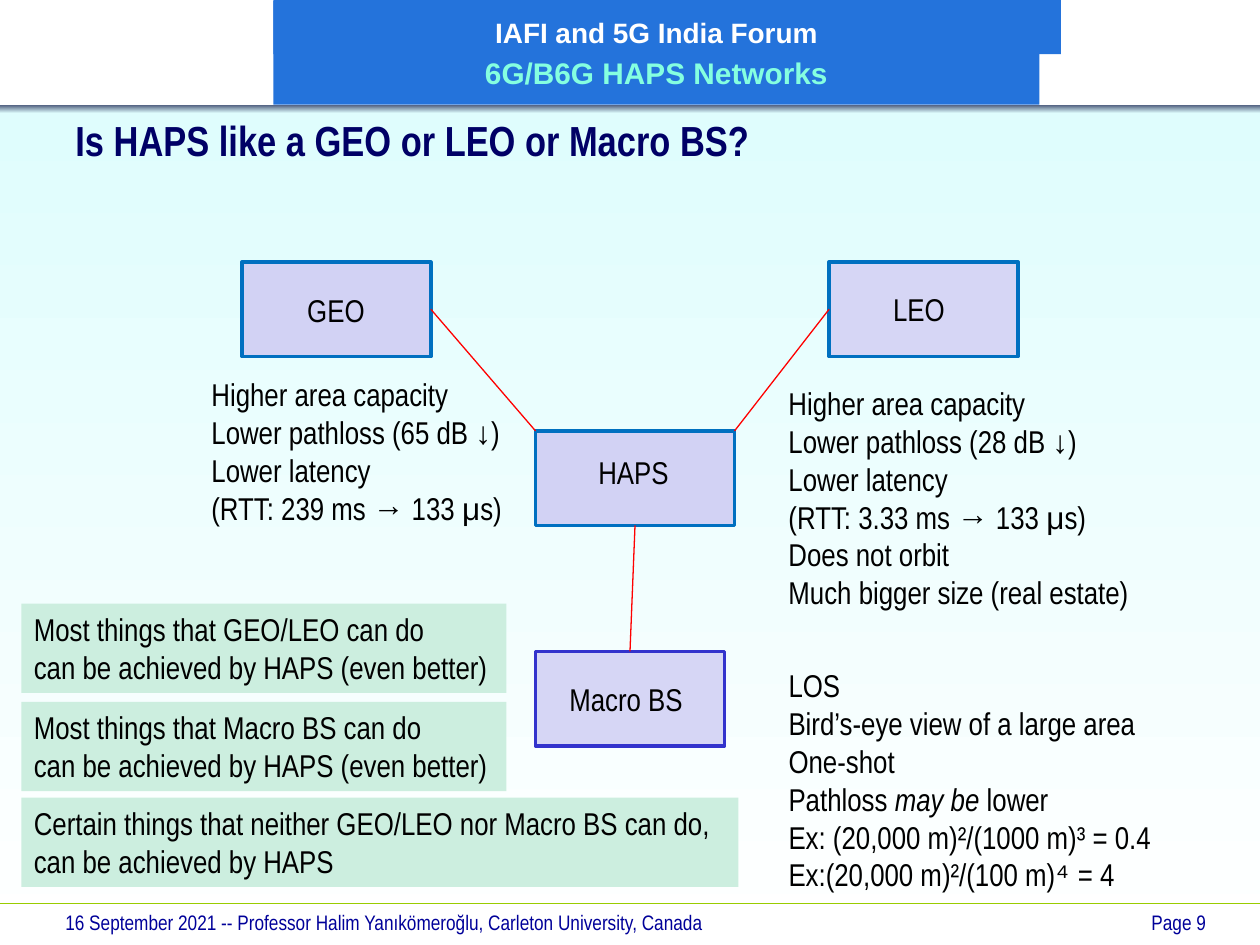
import pptx
import pptx.util
import pptx.dml.color
import pptx.enum.shapes
import pptx.enum.text
import pptx.oxml.ns
import lxml.etree

Inches = pptx.util.Inches
Pt = pptx.util.Pt
ALIGN = pptx.enum.text.PP_ALIGN
ANCHOR = pptx.enum.text.MSO_ANCHOR

COLORS = {
    "sky": "DFFDFD", "white": "FFFFFF", "slate": "475577",
    "banner": "2473DB", "aqua": "85FFE0", "rule": "99CC00",
    "footer": "000099", "title": "000066", "text": "000000",
    "node": "D2D2F4", "node_light": "D6D6F5", "blue": "0070C0",
    "indigo": "3333CC", "link": "FF0000", "mint": "CCEEDF",
}
NARROW = "Arial Narrow"


def rgb(name):
    return pptx.dml.color.RGBColor.from_string(COLORS[name])


def add_rect(page, left, top, width, height, fill, line=None):
    """Rectangle with a solid fill, or a vertical gradient for two colours."""
    rect = page.shapes.add_shape(
        pptx.enum.shapes.MSO_SHAPE.RECTANGLE,
        Inches(left), Inches(top), Inches(width), Inches(height))
    rect.shadow.inherit = False
    if isinstance(fill, tuple):
        rect.fill.gradient()
        rect.fill.gradient_angle = 270
        for stop, color, position in zip(rect.fill.gradient_stops, fill, (0, 1)):
            stop.color.rgb = rgb(color)
            stop.position = position
    else:
        rect.fill.solid()
        rect.fill.fore_color.rgb = rgb(fill)
    if line:
        rect.line.color.rgb = rgb(line)
        rect.line.width = Pt(2)
    else:
        rect.line.fill.background()
    return rect


def add_line(page, start, end, color):
    line = page.shapes.add_connector(
        pptx.enum.shapes.MSO_CONNECTOR.STRAIGHT,
        Inches(start[0]), Inches(start[1]), Inches(end[0]), Inches(end[1]))
    line.line.color.rgb = rgb(color)
    line.line.width = Pt(0.75)
    lxml.etree.SubElement(line._element.spPr, pptx.oxml.ns.qn("a:effectLst"))
    return line


def style_span(span, size=18, color="text", font=NARROW, bold=False, italic=False):
    span.font.size = Pt(size)
    span.font.name = font
    span.font.color.rgb = rgb(color)
    span.font.bold = bold
    span.font.italic = italic


def write_lines(box, lines, align=ALIGN.LEFT, **style):
    """One paragraph a line; a line is a string or (text, style changes) pairs."""
    frame = box.text_frame
    for number, line in enumerate(lines):
        para = frame.add_paragraph() if number else frame.paragraphs[0]
        para.alignment = align
        for text, changes in [(line, {})] if isinstance(line, str) else line:
            span = para.add_run()
            span.text = text
            style_span(span, **{**style, **changes})


def fit_to_text(box):
    box.text_frame.word_wrap = False
    box.text_frame.auto_size = pptx.enum.text.MSO_AUTO_SIZE.SHAPE_TO_FIT_TEXT
    box.text_frame.vertical_anchor = ANCHOR.TOP


def add_text(page, left, top, width, height, lines, fit=True, **style):
    box = page.shapes.add_textbox(
        Inches(left), Inches(top), Inches(width), Inches(height))
    box.text_frame.word_wrap = True
    if fit:
        fit_to_text(box)
    write_lines(box, lines, **style)
    return box


def add_note(page, top, width, lines):
    note = add_rect(page, 0.17, top, width, 0.71, "mint")
    fit_to_text(note)
    write_lines(note, lines)


def add_frame(page):
    # Background and footer
    add_rect(page, 0, 0.86, 10, 6.65, ("sky", "white"))
    add_line(page, (0, 7.17), (10, 7.17), "rule")
    footer = {"fit": False, "size": 12, "color": "footer"}
    add_text(page, 0.42, 7.17, 8.42, 0.33,
             ["16 September 2021 -- Professor Halim Yanıkömeroğlu, "
              "Carleton University, Canada"], **footer)
    add_text(page, 7.5, 7.17, 2.17, 0.25, ["Page 9"], align=ALIGN.RIGHT, **footer)

    # Header banner
    add_rect(page, 0, 0.83, 10, 0.07, ("slate", "sky"))
    add_rect(page, 2.17, 0, 6.25, 0.43, "banner")
    banner = add_rect(page, 2.17, 0.01, 6.08, 0.82, "banner")
    banner.text_frame.word_wrap = False
    banner.text_frame.vertical_anchor = ANCHOR.MIDDLE
    write_lines(banner, [
        [("IAFI and 5G India Forum", {"size": 16, "color": "white"})],
        [("6G/B6G HAPS Networks", {"size": 17, "color": "aqua"})],
    ], align=ALIGN.CENTER, font="Arial", bold=True)
    banner.text_frame.paragraphs[1].space_before = Pt(3.4)

    # Title
    title = add_text(page, 0.5, 0.9, 6.92, 0.42,
                     ["Is HAPS like a GEO or LEO or Macro BS?"],
                     fit=False, size=24, color="title", bold=True)
    title.text_frame.vertical_anchor = ANCHOR.MIDDLE


def add_diagram(page):
    # Network nodes
    geo = add_rect(page, 1.92, 2.08, 1.5, 0.75, "node", "blue")
    leo = add_rect(page, 6.58, 2.08, 1.5, 0.75, "node_light", "blue")
    macro = add_rect(page, 4.25, 5.17, 1.5, 0.75, "node_light", "indigo")
    haps = add_rect(page, 4.25, 3.42, 1.58, 0.75, "node", "blue")

    # Node labels
    for left, top, width, label in [
        (2.34, 2.26, 0.66, "GEO"), (6.99, 2.25, 0.62, "LEO"),
        (4.42, 5.35, 1.11, "Macro BS"), (4.65, 3.55, 0.77, "HAPS"),
    ]:
        add_text(page, left, top, width, 0.4, [label])

    # Links from HAPS to the other nodes
    geo_link = add_line(page, (4.25, 3.42), (3.42, 2.46), "link")
    geo_link.end_connect(geo, 3)
    leo_link = add_line(page, (5.83, 3.42), (6.58, 2.46), "link")
    leo_link.end_connect(leo, 1)
    macro_link = add_line(page, (5, 5.17), (5.04, 4.17), "link")
    macro_link.begin_connect(macro, 0)
    macro_link.end_connect(haps, 2)


def add_comparisons(page):
    def gains(pathloss, latency):
        return ["Higher area capacity", f"Lower pathloss ({pathloss} dB ↓)",
                "Lower latency",
                [(f"(RTT: {latency} ms → 133 ", {}), ("μ", {"font": "Arial"}),
                 ("s)", {})]]

    # Against GEO, LEO and Macro BS
    add_text(page, 1.58, 2.93, 2.53, 1.31, gains("65", "239"))
    add_text(page, 6.16, 3, 2.93, 1.92, gains("28", "3.33") + [
        "Does not orbit", "Much bigger size (real estate)"])
    add_text(page, 6.16, 5.24, 3.11, 1.92, [
        "LOS", "Bird’s-eye view of a large area", "One-shot",
        [("Pathloss ", {}), ("may be ", {"italic": True}), ("lower", {})],
        "Ex: (20,000 m)²/(1000 m)³ = 0.4",
        [("Ex:(20,000 m)²/(100 m)", {}), ("⁴ ", {"font": "Arial"}), ("= 4", {})],
    ])

    # Conclusions
    for top, rival in [(4.79, "GEO/LEO"), (5.57, "Macro BS")]:
        add_note(page, top, 3.85, [f"Most things that {rival} can do",
                                   "can be achieved by HAPS (even better)"])
    add_note(page, 6.33, 5.69, [
        "Certain things that neither GEO/LEO nor Macro BS can do,",
        "can be achieved by HAPS"])


def main():
    deck = pptx.Presentation()
    deck.slide_width, deck.slide_height = Inches(10), Inches(7.5)
    page = deck.slides.add_slide(deck.slide_layouts[6])
    add_frame(page)
    add_diagram(page)
    add_comparisons(page)
    deck.save("out.pptx")


if __name__ == "__main__":
    main()
